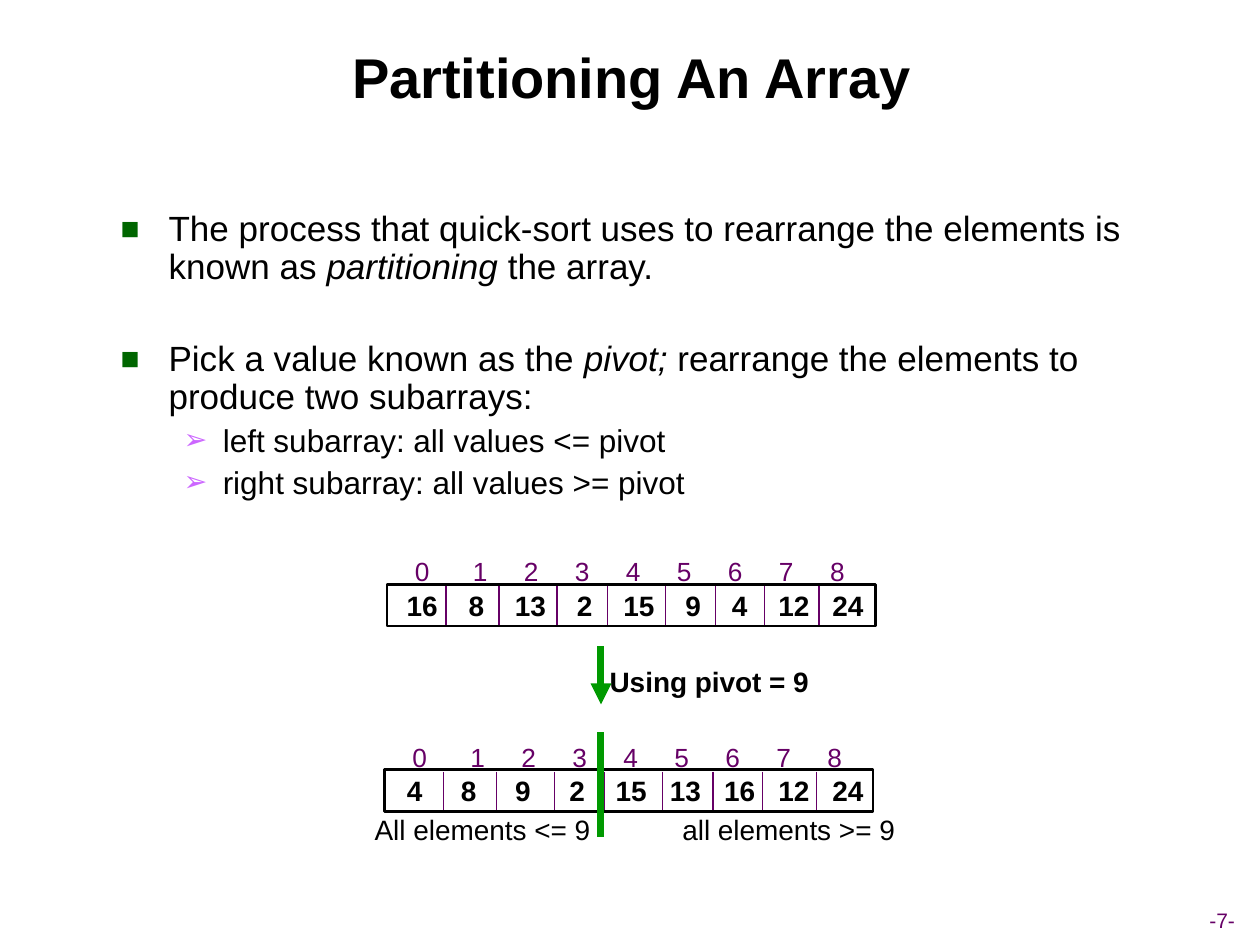
from pptx import Presentation, util as u
from pptx.dml.color import RGBColor
from pptx.enum import shapes, text
from pptx.oxml.ns import qn
from lxml import etree

THEME = dict(
    font="Arial", ink="000000", index="660066", accent="009900",
    square="006600", arrow="CC66FF",
    title=32, body=20, sub=18, label=16, index_size=15, page=12,
)

# All lengths count cells of a grid 100 columns wide and 75 rows high.
COLUMNS, ROWS = 100, 75
CELL = u.Inches(10) // COLUMNS

TITLE = "Partitioning An Array"
PAGE = "-7-"
# (level, space before in points, runs as (words, italic))
POINTS = [
    (0, 5, [("The process that quick-sort uses to rearrange the elements is known as ", False),
            ("partitioning ", True), ("the array.", False)]),
    (0, 31, [("Pick a value known as the ", False), ("pivot; ", True),
             ("rearrange the elements to produce two subarrays:", False)]),
    (1, 4.5, [("left subarray: all values <= pivot", False)]),
    (1, 4.5, [("right subarray: all values >= pivot", False)]),
]
LEVELS = [
    dict(size=THEME["body"], bullet="■", colour=THEME["square"], indent=3.8, hang=3.8),
    dict(size=THEME["sub"], bullet="➢", colour=THEME["arrow"], indent=8.1, hang=3.1),
]
# left, top, values, centre of each value measured from the array's left side
ARRAYS = [
    (30.7, 46.4, [16, 8, 13, 2, 15, 9, 4, 12, 24],
     [2.8 + 4.3 * i for i in range(6)] + [28 + 4.3 * i for i in range(3)]),
    (30.5, 61.1, [4, 8, 9, 2, 15, 13, 16, 12, 24],
     [2.4 + 4.3 * i for i in range(9)]),
]
ARRAY_WIDTH, ARRAY_HEIGHT = 38.8, 3.3
DIVIDERS = [4.7, 8.9, 13.5, 17.5, 22.1, 26.1, 30, 34.3]
INDEX_CENTRES = [2.8] + [7.4 + 4.05 * i for i in range(8)]
# words, centre column, centre row, bold
LABELS = [
    ("Using pivot = 9", 56.3, 54.1, True),
    ("All elements <= 9", 38.3, 65.8, False),
    ("all elements >= 9", 62.6, 65.8, False),
]
PIVOT_COLUMN = 47.7


def grid(cells):
    return u.Emu(round(cells * CELL))


def add_xml(parent, tag, **attributes):
    return etree.SubElement(parent, qn(tag), {k: str(v) for k, v in attributes.items()})


def box(left, top, width, height):
    return slide.shapes.add_textbox(*map(grid, (left, top, width, height)))


def write(shape, words, size, colour=THEME["ink"], bold=False,
          align=text.PP_ALIGN.CENTER, tabs=()):
    """Set one line of text, with optional centred tab stops in grid cells."""
    frame = shape.text_frame
    frame.word_wrap = True
    frame.vertical_anchor = text.MSO_ANCHOR.MIDDLE
    frame.margin_left = frame.margin_right = frame.margin_top = frame.margin_bottom = 0
    paragraph = frame.paragraphs[0]
    paragraph.alignment = align
    add_run(paragraph, words, size, colour, bold)
    if tabs:
        stops = add_xml(paragraph._p.get_or_add_pPr(), "a:tabLst")
        for stop in tabs:
            add_xml(stops, "a:tab", pos=grid(stop), algn="ctr")


def add_run(paragraph, words, size, colour=THEME["ink"], bold=False, italic=False):
    run = paragraph.add_run()
    run.text = words
    font = run.font
    font.name, font.size, font.bold, font.italic = THEME["font"], u.Pt(size), bold, italic
    font.color.rgb = RGBColor.from_string(colour)


def add_points(frame):
    frame.word_wrap = True
    for number, (level, before, runs) in enumerate(POINTS):
        paragraph = frame.add_paragraph() if number else frame.paragraphs[0]
        style = LEVELS[level]
        paragraph.level = level
        paragraph.line_spacing = 0.9
        paragraph.space_before = u.Pt(before)
        for words, italic in runs:
            add_run(paragraph, words, style["size"], italic=italic)
        props = paragraph._p.get_or_add_pPr()
        props.set("marL", str(grid(style["indent"])))
        props.set("indent", str(-grid(style["hang"])))
        add_xml(add_xml(props, "a:buClr"), "a:srgbClr", val=style["colour"])
        add_xml(props, "a:buSzPct", val=90000)
        add_xml(props, "a:buFont", typeface=THEME["font"])
        add_xml(props, "a:buChar", char=style["bullet"])


def add_vertical(column, top, bottom, colour, width, arrow=False):
    line = slide.shapes.add_connector(
        shapes.MSO_CONNECTOR.STRAIGHT, *map(grid, (column, top, column, bottom)))
    line.line.color.rgb = RGBColor.from_string(colour)
    line.line.width = u.Pt(width)
    if arrow:
        add_xml(line.line._get_or_add_ln(), "a:tailEnd", type="triangle")
    add_xml(line._element.spPr, "a:effectLst")


def add_array(left, top, values, centres):
    frame = slide.shapes.add_shape(
        shapes.MSO_SHAPE.RECTANGLE, *map(grid, (left, top, ARRAY_WIDTH, ARRAY_HEIGHT)))
    frame.shadow.inherit = False
    frame.fill.background()
    frame.line.color.rgb = RGBColor.from_string(THEME["ink"])
    frame.line.width = u.Pt(1.5)
    write(frame, tabbed(values), THEME["label"], bold=True,
          align=text.PP_ALIGN.LEFT, tabs=centres)
    for divider in DIVIDERS:
        add_vertical(left + divider, top + 0.15, top + ARRAY_HEIGHT - 0.1, THEME["index"], 0.75)
    write(box(left, top - 2.8, ARRAY_WIDTH, 3.5), tabbed(range(len(values))),
          THEME["index_size"], THEME["index"], align=text.PP_ALIGN.LEFT, tabs=INDEX_CENTRES)


def tabbed(items):
    return "".join(f"\t{item}" for item in items)


deck = Presentation()
deck.slide_width, deck.slide_height = grid(COLUMNS), grid(ROWS)
slide = deck.slides.add_slide(deck.slide_layouts[6])

write(box(3.8, 1.3, 92.7, 9.5), TITLE, THEME["title"], bold=True)
add_points(box(8.6, 16.3, 83.8, 25).text_frame)
for array in ARRAYS:
    add_array(*array)
for words, column, row, bold in LABELS:
    write(box(column - 10, row - 1.5, 20, 3), words, THEME["label"], bold=bold)
add_vertical(PIVOT_COLUMN, 51.3, 55.9, THEME["accent"], 4, arrow=True)
add_vertical(PIVOT_COLUMN, 58.1, 66.4, THEME["accent"], 4)
write(box(94, 71.5, 6, 3), PAGE, THEME["page"], THEME["index"], align=text.PP_ALIGN.CENTER)

deck.save("out.pptx")
